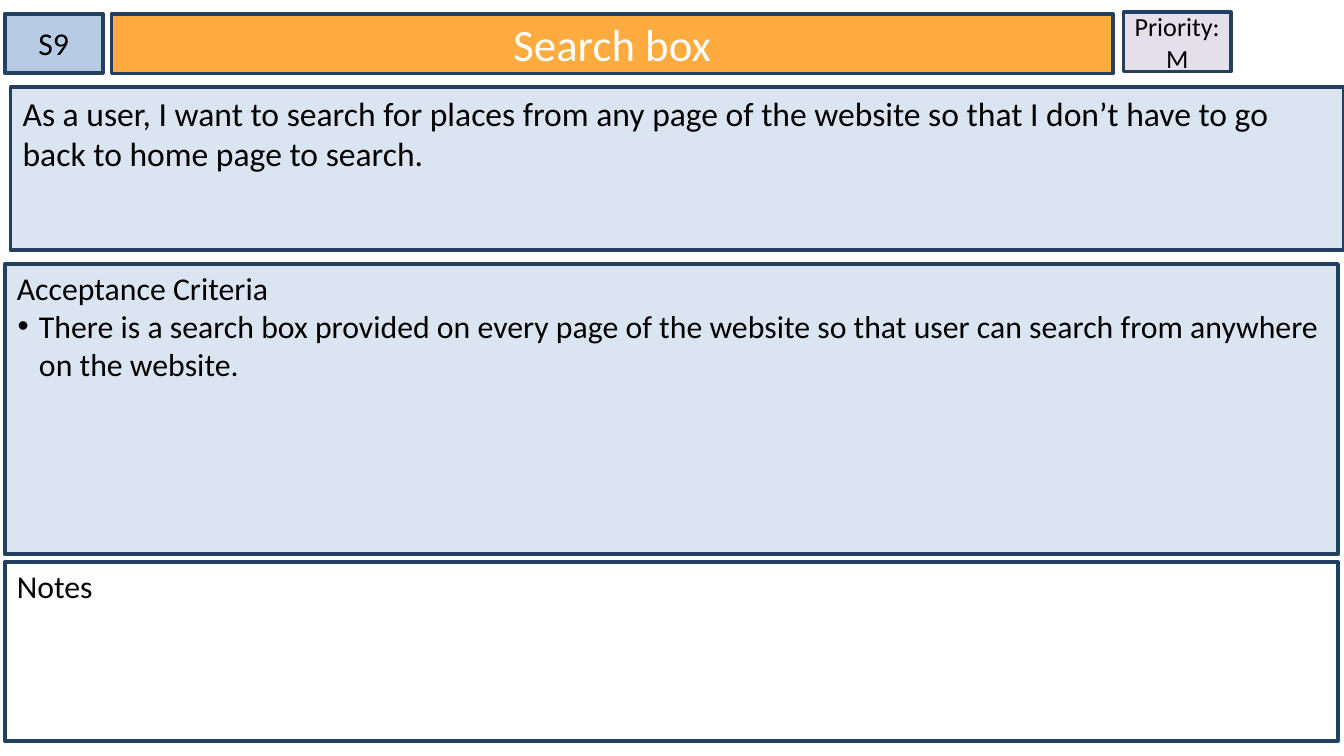
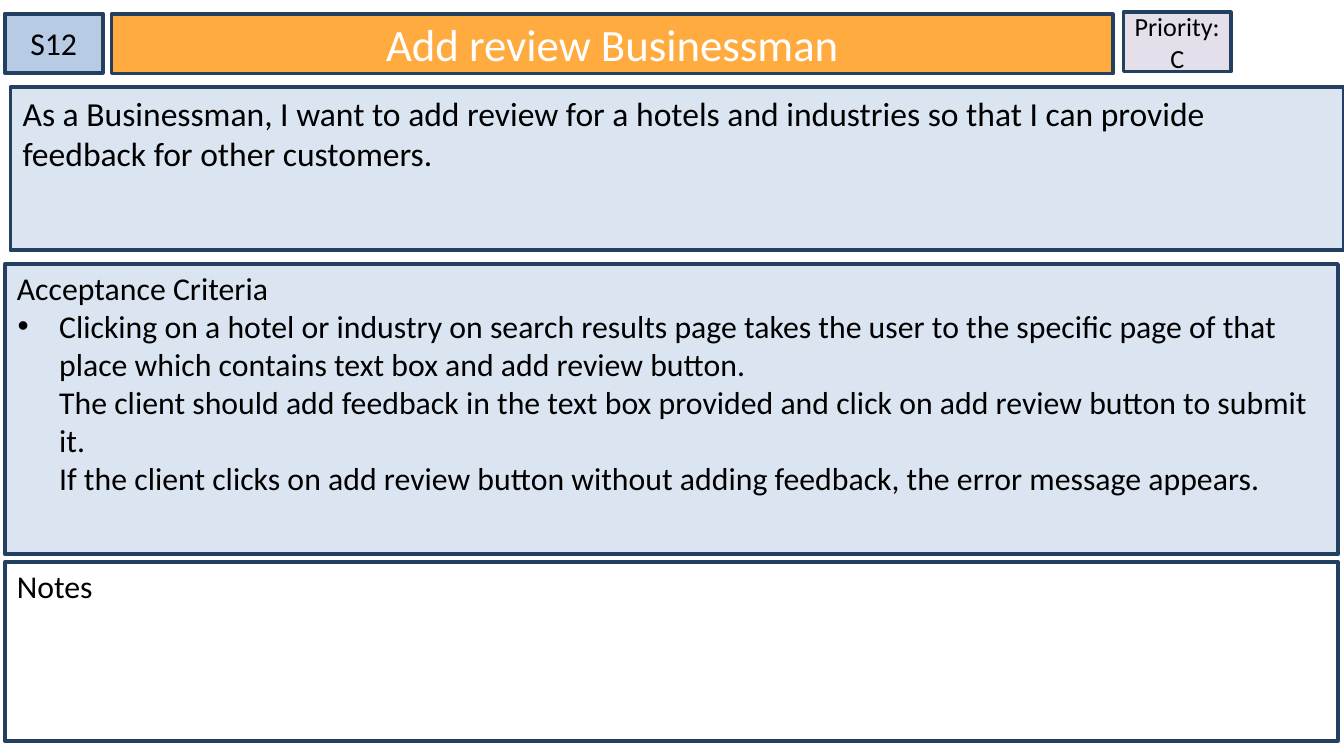
from copy import deepcopy
from pptx import Presentation, util as u
from pptx.dml.color import RGBColor
from pptx.enum import shapes, text
from pptx.oxml import parse_xml
from pptx.oxml.ns import nsdecls, qn

COLOURS = {
    "border": "244061", "title": "FFAB40", "priority": "E5DFEC",
    "number": "B7CCE4", "panel": "DAE5F1", "paper": "FFFFFF", "ink": "000000",
}
FONT = "Calibri"
LEFT, PANEL_WIDTH = 0.35, 99.2

deck = Presentation()
deck.slide_width = u.Inches(10)
deck.slide_height = u.Emu(deck.slide_width * 9 // 16)
CELL = deck.slide_width / 100


def cells(count):
    return u.Emu(round(count * CELL))


def rgb(name):
    return RGBColor.from_string(COLOURS[name])


def panel(slide, box, fill, side=0.9, top=0.4, centred=False):
    frame = slide.shapes.add_shape(shapes.MSO_SHAPE.RECTANGLE, *map(cells, box))
    frame.shadow.inherit = False
    frame.fill.solid()
    frame.fill.fore_color.rgb = rgb(fill)
    frame.line.color.rgb = rgb("border")
    frame.line.width = u.Pt(2)
    body = frame.text_frame
    body.word_wrap = True
    body.margin_left = body.margin_right = cells(side)
    body.margin_top, body.margin_bottom = cells(top), cells(0.4)
    body.vertical_anchor = text.MSO_ANCHOR.MIDDLE if centred else text.MSO_ANCHOR.TOP
    return body


def write(body, words, size=17, colour="ink", align=text.PP_ALIGN.LEFT, bullet=None):
    first = body.paragraphs[0]
    line = body.add_paragraph() if first.runs else first
    line.text = words
    line.alignment = align
    for run in line.runs:
        run.font.name, run.font.size = FONT, u.Pt(size)
        run.font.color.rgb = rgb(colour)
    for line_break in line._p.findall(qn("a:br")):
        line_break.append(deepcopy(line.runs[0]._r.rPr))
    if bullet:
        indent, hang = bullet
        properties = line._p.get_or_add_pPr()
        properties.set("marL", str(cells(indent)))
        properties.set("indent", str(-cells(hang)))
        ns = nsdecls("a")
        properties.append(parse_xml(
            f'<a:buClr {ns}><a:srgbClr val="{COLOURS["ink"]}"/></a:buClr>'))
        properties.append(parse_xml(f'<a:buFont {ns} typeface="Arial"/>'))
        properties.append(parse_xml(f'<a:buChar {ns} char="•"/>'))


def header(slide, box, number, title, priority):
    left, top, width, height = box
    centre = text.PP_ALIGN.CENTER
    banner = panel(slide, (left + 7.95, top + 0.15, 74.5, height), "title", centred=True)
    write(banner, title, size=24, colour="paper", align=centre)
    badge = panel(slide, (left + width - 8, top, 8, height), "priority", side=0, centred=True)
    for words in ("Priority:", priority):
        write(badge, words, size=14, align=centre)
    tag = panel(slide, (left, top + 0.1, 7.3, height), "number", side=0, centred=True)
    write(tag, number, align=centre)


def user_story(slide, box, story):
    write(panel(slide, box, "panel"), story, size=18)


def acceptance(slide, box, criterion, bullet):
    body = panel(slide, box, "panel", top=0.35)
    write(body, "Acceptance Criteria")
    write(body, criterion, bullet=bullet)


def notes_area(slide, box):
    write(panel(slide, box, "paper", top=0.35), "Notes")


def story_card(number, title, priority, story, criterion, bullet):
    slide = deck.slides.add_slide(deck.slide_layouts[6])
    header(slide, (LEFT, 0.92, 91.25, 4.4), number, title, priority)
    user_story(slide, (0.78, 6.48, PANEL_WIDTH, 12.15), story)
    acceptance(slide, (LEFT, 19.65, PANEL_WIDTH, 21.6), criterion, bullet)
    notes_area(slide, (LEFT, 41.83, PANEL_WIDTH, 13.3))


story_card(
    "S9", "Search box", "M",
    "As a user, I want to search for places from any page of the website "
    "so that I don’t have to go back to home page to search.",
    "There is a search box provided on every page of the website "
    "so that user can search from anywhere on the website.",
    bullet=(1.65, 1.6),
)
story_card(
    "S12", "Add review Businessman", "C",
    "As a Businessman, I want to add review for a hotels and industries "
    "so that I can provide feedback for other customers.",
    "Clicking on a hotel or industry on search results page takes the user to the "
    "specific page of that place which contains text box and add review button. \v"
    "The client should add feedback in the text box provided and click on "
    "add review button to submit it.\v"
    "If the client clicks on add review button without adding feedback, "
    "the error message appears.",
    bullet=(3.15, 3.1),
)
deck.save("out.pptx")
